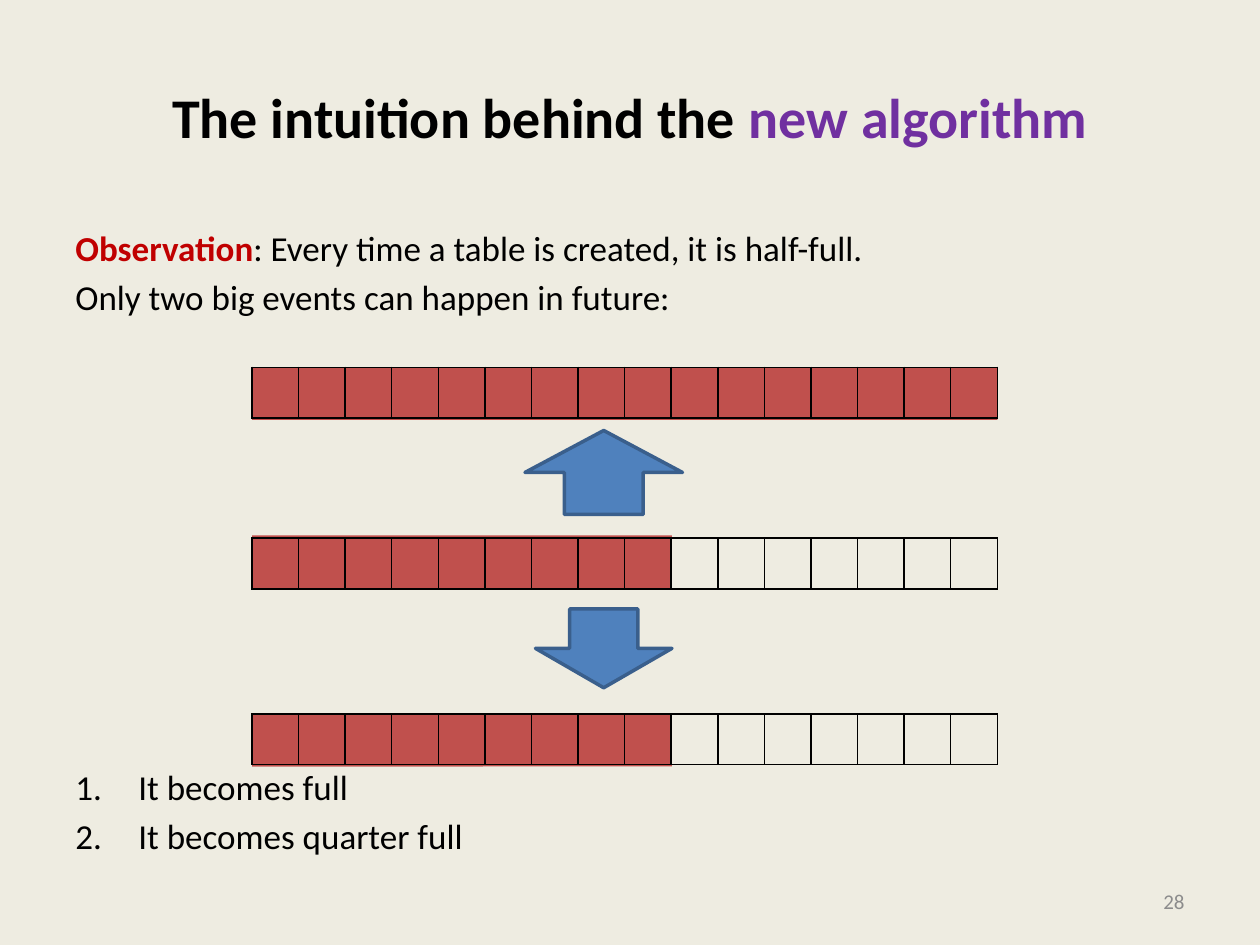
"""Build the slide on the intuition behind the new table algorithm."""
from dataclasses import dataclass

from lxml import etree
from pptx import Presentation
from pptx.dml.color import RGBColor
from pptx.enum.shapes import MSO_SHAPE
from pptx.enum.text import MSO_ANCHOR, PP_ALIGN
from pptx.oxml.ns import qn
from pptx.util import Pt

RECT, UP, DOWN = MSO_SHAPE.RECTANGLE, MSO_SHAPE.UP_ARROW, MSO_SHAPE.DOWN_ARROW
TOP, MIDDLE = MSO_ANCHOR.TOP, MSO_ANCHOR.MIDDLE
LEFT, CENTER, RIGHT = PP_ALIGN.LEFT, PP_ALIGN.CENTER, PP_ALIGN.RIGHT


@dataclass(frozen=True)
class Theme:
    font: str = "Calibri"
    background: str = "EEECE1"
    ink: str = "000000"
    accent: str = "7030A0"
    alert: str = "C00000"
    filled: str = "C0504D"
    arrow: str = "4F81BD"
    arrow_line: str = "3A5F8C"
    muted: str = "8C8C8C"
    title: int = 32
    body: int = 20
    small: int = 12


T = Theme()


def add_text(s, box, paragraphs, size, align=LEFT, anchor=TOP, numbered=False):
    """Add a text box whose paragraphs are lists of (text, colour, bold)."""
    tf = s.shapes.add_textbox(*map(Pt, box)).text_frame
    tf.word_wrap = True
    tf.vertical_anchor = anchor
    for i, runs in enumerate(paragraphs):
        p = tf.paragraphs[0] if i == 0 else tf.add_paragraph()
        p.alignment = align
        p.space_before = Pt(3.6 if i else 0)
        if numbered:
            pPr = p._p.get_or_add_pPr()
            pPr.set("marL", str(Pt(36)))
            pPr.set("indent", str(Pt(-36)))
            etree.SubElement(pPr, qn("a:buFont"), typeface="+mj-lt")
            etree.SubElement(pPr, qn("a:buAutoNum"), type="arabicPeriod")
        for text, color, bold in runs:
            r = p.add_run()
            r.text = text
            r.font.name = T.font
            r.font.size = Pt(size)
            r.font.bold = bold
            r.font.color.rgb = RGBColor.from_string(color)


def add_block(s, kind, box, fill, line=None):
    """Add a filled preset shape, outlined when a line colour is given."""
    sp = s.shapes.add_shape(kind, *map(Pt, box))
    sp.shadow.inherit = False
    sp.fill.solid()
    sp.fill.fore_color.rgb = RGBColor.from_string(fill)
    if line:
        sp.line.color.rgb = RGBColor.from_string(line)
        sp.line.width = Pt(2)
    else:
        sp.line.fill.background()


prs = Presentation()
prs.slide_width, prs.slide_height = Pt(720), Pt(540)
s = prs.slides.add_slide(prs.slide_layouts[6])
s.background.fill.solid()
s.background.fill.fore_color.rgb = RGBColor.from_string(T.background)

row_left, columns, column_width, row_height = 144, 16, 26.63, 29
full_top, half_top, quarter_top = 210, 307.5, 408
half_width = 240

for left, top, width in [
    (row_left + half_width, full_top, 186),
    (row_left, full_top, half_width),
    (row_left, quarter_top, 132),
    (row_left, quarter_top, half_width),
    (row_left, half_top - 1.5, half_width),
]:
    add_block(s, RECT, (left, top, width, 30), T.filled)

add_text(s, (36, 21.6, 648, 90),
         [[("The intuition behind the ", T.ink, True),
           ("new algorithm", T.accent, True)]],
         T.title, CENTER, MIDDLE)
add_text(s, (36, 126, 648, 70),
         [[("Observation", T.alert, True),
           (": Every time a table is created, it is half-full.", T.ink, False)],
          [("Only two big events can happen in future:", T.ink, False)]],
         T.body)
add_text(s, (36, 434, 648, 66),
         [[("It becomes full", T.ink, False)],
          [("It becomes quarter full", T.ink, False)]],
         T.body, numbered=True)
add_text(s, (516, 500.5, 168, 28.8), [[("28", T.muted, False)]],
         T.small, RIGHT, MIDDLE)

for top in (half_top, full_top, quarter_top):
    frame = s.shapes.add_table(1, columns, Pt(row_left), Pt(top),
                               Pt(columns * column_width), Pt(row_height))
    table = frame.table
    table.first_row = table.horz_banding = False
    for column in table.columns:
        column.width = Pt(column_width)
    for cell in table.iter_cells():
        tcPr = cell._tc.get_or_add_tcPr()
        for side in ("a:lnL", "a:lnR", "a:lnT", "a:lnB"):
            ln = etree.SubElement(tcPr, qn(side), w=str(Pt(1)))
            fill = etree.SubElement(ln, qn("a:solidFill"))
            etree.SubElement(fill, qn("a:srgbClr"), val=T.ink)
        cell.fill.background()

add_block(s, DOWN, (306, 348, 78, 45), T.arrow, T.arrow_line)
add_block(s, UP, (300, 246, 90, 48), T.arrow, T.arrow_line)

prs.save("out.pptx")
